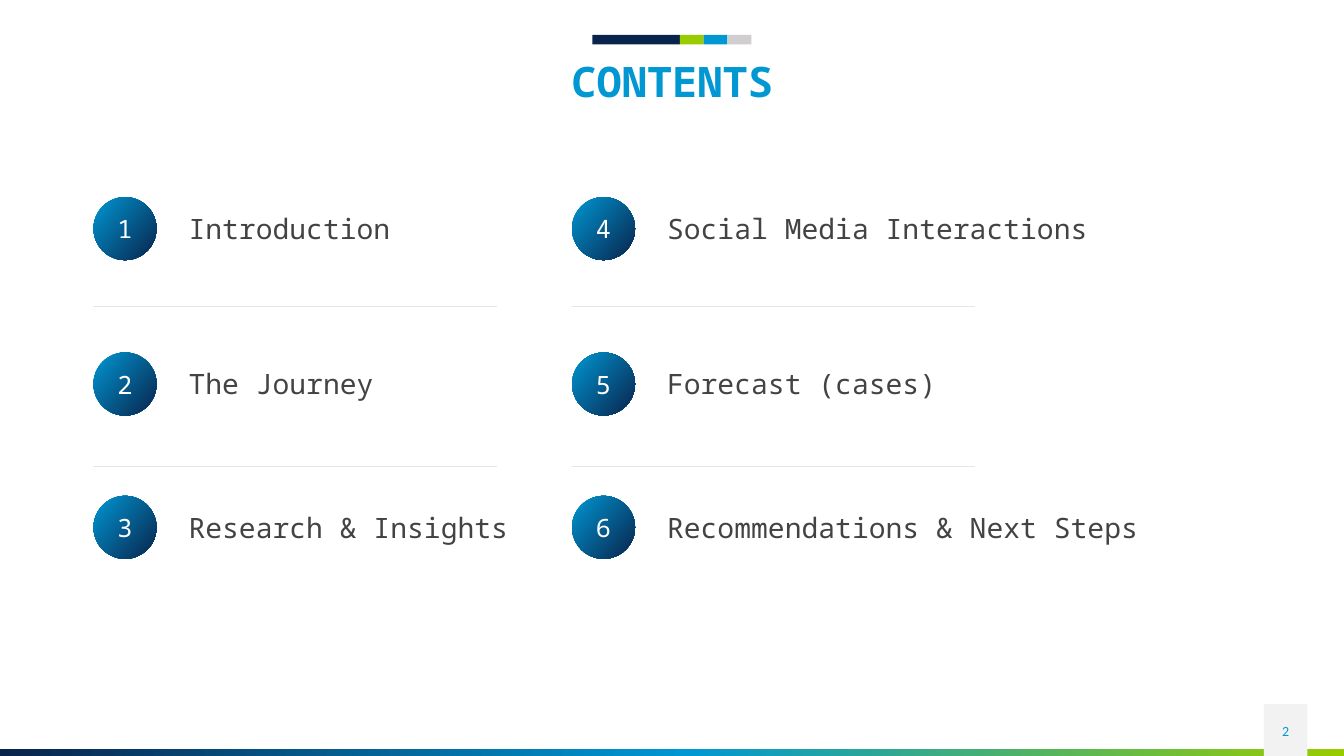
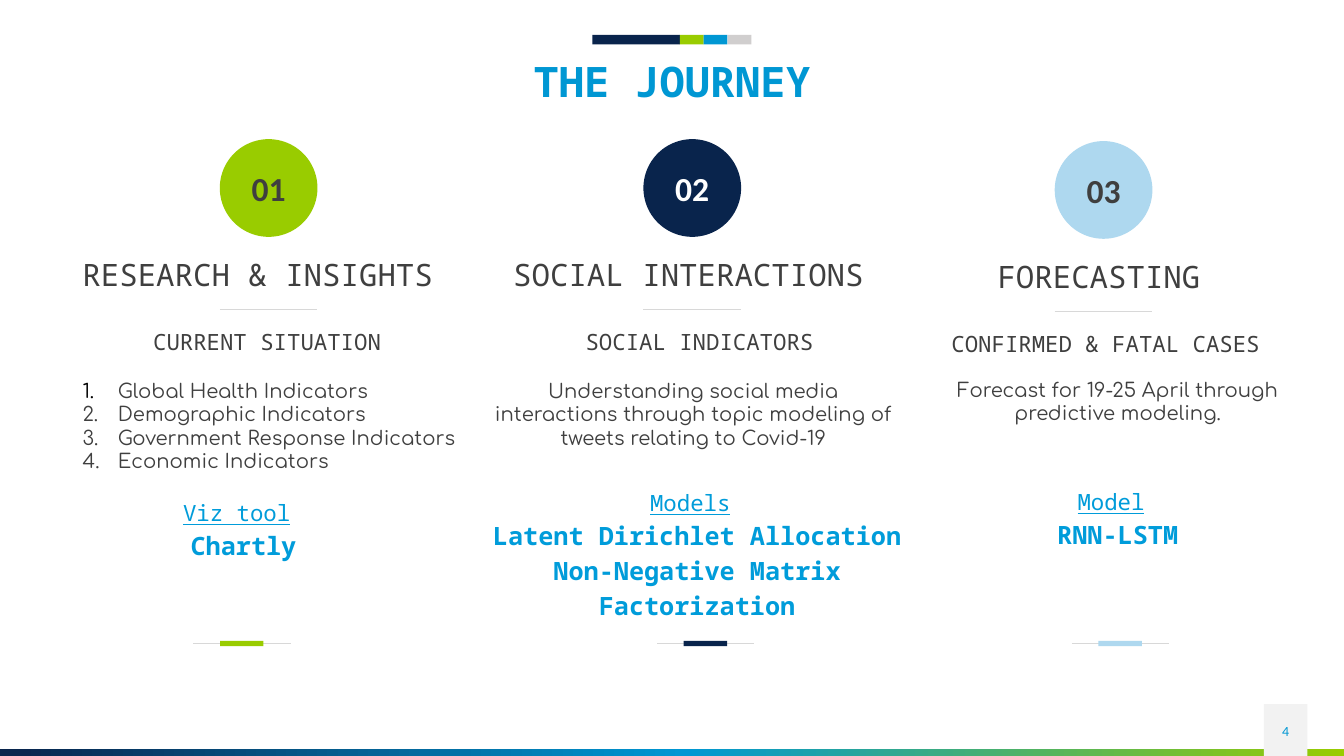
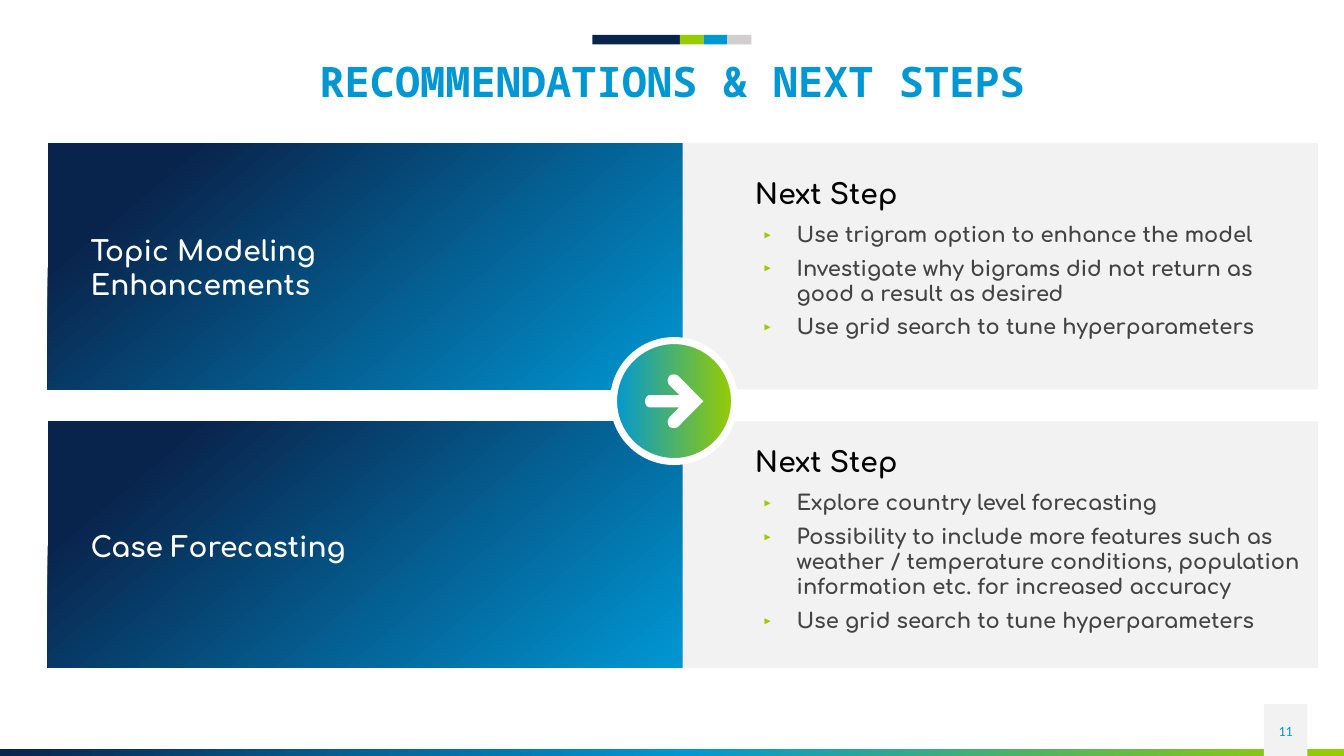
from dataclasses import dataclass, field

import pptx
import pptx.dml.color
import pptx.enum.shapes
import pptx.enum.text
import pptx.oxml
import pptx.oxml.ns
import pptx.util

Pt = pptx.util.Pt
SHAPE = pptx.enum.shapes.MSO_SHAPE
ALIGN = pptx.enum.text.PP_ALIGN
ANCHOR = pptx.enum.text.MSO_ANCHOR
qn = pptx.oxml.ns.qn

NAVY, BLUE, GREEN, SKY = "09244C", "0097D3", "99CC00", "AED8EF"
LINK, DARK, GREY = "009CDA", "3F3F3F", "434343"
PALE, SILVER, RULE, WHITE, BLACK = "F2F2F2", "D0CECE", "D8D8D8", "FFFFFF", "000000"
MONO, ROUND, PLAIN = "Noto Sans Mono", "Comfortaa", "Calibri"
TIGHT = (0, 0, 0, 2.9)
DEFAULT_INSET = (7.2, 3.6, 7.2, 3.6)


@dataclass
class Style:
    font: str
    size: float
    color: str
    bold: bool = False
    underline: bool = False


@dataclass
class Para:
    text: str
    style: Style
    tail: str = ""  # plain text after an underlined run
    bullet: str = ""  # a character, or "1." for automatic numbers
    bullet_color: str = BLACK
    fmt: dict = field(default_factory=dict)


@dataclass
class Box:
    x: float
    y: float
    w: float
    h: float


@dataclass
class Gradient:
    stops: list[tuple[int, str]]
    angle: float = 0


TITLE = Style(MONO, 30, BLUE, bold=True)
PAGE = Style(PLAIN, 10, BLUE)
CENTER = {"alignment": ALIGN.CENTER}


def rgb(color: str) -> pptx.dml.color.RGBColor:
    return pptx.dml.color.RGBColor.from_string(color)


def a_element(tag: str, **attrs):
    el = pptx.oxml.parse_xml(
        f'<a:{tag} xmlns:a="http://schemas.openxmlformats.org/drawingml/2006/main"/>')
    for k, v in attrs.items():
        el.set(k, str(v))
    return el


# Formatting
def paint(sp, fill: str | Gradient, line: str = "", width: float = 0) -> None:
    sp.shadow.inherit = False
    if isinstance(fill, Gradient):
        sp.fill.gradient()
        sp.fill.gradient_angle = (360 - fill.angle) % 360
        stops = sp._element.spPr.find(".//" + qn("a:gsLst"))
        for old in list(stops):
            stops.remove(old)
        for pos, color in fill.stops:
            gs = a_element("gs", pos=pos * 1000)
            gs.append(a_element("srgbClr", val=color))
            stops.append(gs)
    else:
        sp.fill.solid()
        sp.fill.fore_color.rgb = rgb(fill)
    if line:
        sp.line.color.rgb = rgb(line)
        sp.line.width = Pt(width)
    else:
        sp.line.fill.background()


def add_run(p, text: str, style: Style, underline: bool) -> None:
    r = p.add_run()
    r.text = text
    fmt = {"name": style.font, "size": Pt(style.size), "bold": style.bold,
           "underline": underline}
    for k, v in fmt.items():
        setattr(r.font, k, v)
    r.font.color.rgb = rgb(style.color)


def add_bullet(p, char: str, color: str) -> None:
    pPr = p._p.get_or_add_pPr()
    pPr.set("marL", str(Pt(36)))
    pPr.set("indent", str(-Pt(25.2)))
    buClr = a_element("buClr")
    buClr.append(a_element("srgbClr", val=color))
    pPr.append(buClr)
    if char == "1.":
        pPr.append(a_element("buAutoNum", type="arabicPeriod"))
    else:
        pPr.append(a_element("buFont", typeface=MONO))
        pPr.append(a_element("buChar", char=char))


def write(sp, paras: list[Para], inset=(0, 0, 0, 0), anchor=ANCHOR.MIDDLE) -> None:
    tf = sp.text_frame
    left, top, right, bottom = (Pt(v) for v in inset)
    fmt = {"word_wrap": True, "auto_size": pptx.enum.text.MSO_AUTO_SIZE.NONE,
           "vertical_anchor": anchor, "margin_left": left, "margin_top": top,
           "margin_right": right, "margin_bottom": bottom}
    for k, v in fmt.items():
        setattr(tf, k, v)
    for i, para in enumerate(paras):
        p = tf.add_paragraph() if i else tf.paragraphs[0]
        for k, v in para.fmt.items():
            setattr(p, k, v)
        if para.bullet:
            add_bullet(p, para.bullet, para.bullet_color)
        add_run(p, para.text, para.style, para.style.underline)
        if para.tail:
            add_run(p, para.tail, para.style, False)


# Drawing
def shape(s, kind, box: Box, fill: str | Gradient, line: str = "", width: float = 0):
    sp = s.shapes.add_shape(kind, Pt(box.x), Pt(box.y), Pt(box.w), Pt(box.h))
    paint(sp, fill, line, width)
    return sp


def text(s, box: Box, paras: list[Para], inset=TIGHT, anchor=ANCHOR.TOP) -> None:
    sp = s.shapes.add_textbox(Pt(box.x), Pt(box.y), Pt(box.w), Pt(box.h))
    write(sp, paras, inset, anchor)


def rule(s, x: float, y: float, w: float, color: str) -> None:
    ln = s.shapes.add_connector(pptx.enum.shapes.MSO_CONNECTOR.STRAIGHT,
                                Pt(x), Pt(y), Pt(x + w), Pt(y))
    ln.line.color.rgb = rgb(color)
    ln.line.width = Pt(0.75)
    ln._element.spPr.append(a_element("effectLst"))


def new_slide(prs, title: str, page: int):
    s = prs.slides.add_slide(prs.slide_layouts[5])
    sp = s.shapes.title
    for k, v in {"left": 26.6, "top": 40.3, "width": 907.2, "height": 39.6}.items():
        setattr(sp, k, Pt(v))
    write(sp, [Para(title, TITLE, fmt={**CENTER, "line_spacing": 0.9})])
    # Footer band and page number
    shape(s, SHAPE.RECTANGLE, Box(0, 535, 960, 5),
          Gradient([(0, NAVY), (51, BLUE), (100, GREEN)]))
    shape(s, SHAPE.RECTANGLE, Box(902.9, 502.9, 31, 37.1), PALE)
    text(s, Box(902.9, 507.8, 31, 28.8), [Para(str(page), PAGE, fmt=CENTER)],
         DEFAULT_INSET, ANCHOR.MIDDLE)
    # Four-colour strip above the title
    x = 423.2
    for color, w in ((NAVY, 62.5), (GREEN, 17), (BLUE, 17), (SILVER, 17)):
        shape(s, SHAPE.RECTANGLE, Box(x, 25, w, 6.8), color)
        x += w
    return s


# Contents slide
def contents(prs) -> None:
    s = new_slide(prs, "CONTENTS", 2)
    number, topic = Style(MONO, 18, WHITE), Style(MONO, 20, GREY)
    fill = Gradient([(0, BLUE), (100, NAVY)], 40)
    columns = (
        (66.8, 326, ("Introduction", "The Journey", "Research & Insights")),
        (408.6, 425, ("Social Media Interactions", "Forecast (cases)",
                      "Recommendations & Next Steps")),
    )
    n = 0
    for x, w, topics in columns:
        for y, name in zip((140.8, 251.8, 354.2), topics):
            n += 1
            sp = shape(s, SHAPE.OVAL, Box(x, y, 45, 45), fill)
            write(sp, [Para(str(n), number, fmt=CENTER)])
            text(s, Box(x + 60.8, y + 6.6, w, 31.7), [Para(name, topic)], DEFAULT_INSET)
        for y in (218.9, 333.2):
            rule(s, x, y, 288, "E7E6E6")


# Journey slide
@dataclass
class Stage:
    number: str
    color: str
    number_color: str
    circle_x: float
    drop: float  # extra depth of the upper part
    heading: str
    heading_mid: float
    subheading: str
    sub_mid: float
    body: list[str]
    body_box: Box
    tool_label: str
    tool: str
    tool_box: Box
    marker_x: float


STAGES = [
    Stage("01", GREEN, DARK, 157, 0, "RESEARCH & INSIGHTS", 184.1,
          "CURRENT SITUATION", 190.8,
          ["Global Health Indicators", "Demographic Indicators",
           "Government Response Indicators", "Economic Indicators"],
          Box(48.2, 270.5, 281.5, 85.7),
          "Viz tool", "Chartly", Box(16.6, 346.3, 314.6, 85.7), 138.2),
    Stage("02", NAVY, WHITE, 459.6, 0, "SOCIAL INTERACTIONS", 491.8,
          "SOCIAL INDICATORS", 499.7,
          ["Understanding social media interactions through topic modeling "
           "of tweets relating to Covid-19"],
          Box(350.6, 270.5, 289.4, 85.7),
          "Models", "Latent Dirichlet Allocation Non-Negative Matrix Factorization",
          Box(340.6, 339.5, 314.6, 100.8), 469.4),
    Stage("03", SKY, DARK, 753.4, 1.4, "FORECASTING", 785,
          "CONFIRMED & FATAL CASES", 789.8,
          ["Forecast for 19-25 April through predictive modeling."],
          Box(671, 269.8, 254.9, 69.8),
          "Model", "RNN-LSTM", Box(641.1, 338.6, 314.6, 85.7), 765.6),
]


def journey(prs) -> None:
    s = new_slide(prs, "THE JOURNEY", 4)
    heading, sub = Style(MONO, 22, DARK), Style(MONO, 16, DARK)
    body = Style(ROUND, 14, DARK)
    label = Style(MONO, 16, LINK, underline=True)
    tool = Style(MONO, 18, LINK, bold=True)
    spaced = {**CENTER, "line_spacing": 1.15}
    for st in STAGES:
        sp = shape(s, SHAPE.OVAL, Box(st.circle_x, 99.4 + st.drop, 69.8, 69.8), st.color)
        write(sp, [Para(st.number, Style(PLAIN, 24, st.number_color, True), fmt=CENTER)])
        text(s, Box(st.heading_mid - 134.5, 182.9 + st.drop, 269, 24.5),
             [Para(st.heading, heading, fmt=CENTER)])
        rule(s, st.circle_x, 221 + st.drop, 69.5, RULE)
        text(s, Box(st.sub_mid - 127.5, 234.7 + st.drop, 255, 22.3),
             [Para(st.subheading, sub, fmt=CENTER)])
        if len(st.body) > 1:
            paras = [Para(t, body, bullet="1.", bullet_color=DARK if i else BLACK)
                     for i, t in enumerate(st.body)]
        else:
            paras = [Para(st.body[0], body, fmt=CENTER)]
        text(s, st.body_box, paras)
        text(s, st.tool_box, [Para(st.tool_label, label, tail=" ", fmt=spaced),
                              Para(st.tool, tool, fmt=spaced)], (7.2,) * 4)
        # Closing marker
        rule(s, st.marker_x, 459.6, 69.5, RULE)
        shape(s, SHAPE.RECTANGLE, Box(st.marker_x + 19, 457.8, 31, 3.7), st.color)


# Recommendations slide
@dataclass
class Panel:
    y: float
    topic: list[str]
    step_y: float
    steps: list[str]


PANELS = [
    Panel(102.2, ["Topic Modeling", "Enhancements"], 125.8,
          ["Use trigram option to enhance the model",
           "Investigate why bigrams did not return as good a result as desired",
           "Use grid search to tune hyperparameters"]),
    Panel(301, ["Case Forecasting"], 317.5,
          ["Explore country level forecasting",
           "Possibility to include more features such as weather / temperature "
           "conditions, population information etc. for increased accuracy",
           "Use grid search to tune hyperparameters"]),
]


def curve(p0, p1, p2, p3, n: int = 8) -> list[tuple[float, float]]:
    """Points along a cubic curve."""
    def at(t: float, i: int) -> float:
        u = 1 - t
        return u**3 * p0[i] + 3 * u * u * t * p1[i] + 3 * u * t * t * p2[i] + t**3 * p3[i]
    return [(at(k / n, 0), at(k / n, 1)) for k in range(n + 1)]


def arrow(s) -> None:
    mid = 286.6
    upper = [(502.4, mid)]
    upper += curve((484.6, 268.6), (483.1, 267.1), (479.5, 267.1), (478.1, 268.6))
    upper += curve((478.1, 268.6), (476.6, 270.7), (476.6, 272.9), (478.1, 275))
    upper += [(485.3, 282.2)]
    upper += curve((464.4, 282.2), (462.2, 282.2), (460.8, 284.4), (460.8, mid))
    lower = [(x, 2 * mid - y) for x, y in reversed(upper)]
    points = [(Pt(x), Pt(y)) for x, y in upper + lower]
    fb = s.shapes.build_freeform(*points[0], scale=1.0)
    fb.add_line_segments(points[1:], close=True)
    paint(fb.convert_to_shape(), WHITE)


def recommendations(prs) -> None:
    s = new_slide(prs, "RECOMMENDATIONS & NEXT STEPS", 11)
    topic, head = Style(ROUND, 20, WHITE, True), Style(ROUND, 20, BLACK, True)
    step = Style(ROUND, 15, GREY, True)
    fill = Gradient([(0, NAVY), (16, NAVY), (100, BLUE)], 50)
    for pn in PANELS:
        for x, color in ((34, fill), (487.7, PALE)):
            shape(s, SHAPE.RECTANGLE, Box(x, pn.y, 453.7, 176), color)
        text(s, Box(64.8, pn.y + 57.2, 372, 66.2), [Para(t, topic) for t in pn.topic],
             anchor=ANCHOR.MIDDLE)
        text(s, Box(539.3, pn.step_y, 372, 27.4), [Para("Next Step", head)])
        text(s, Box(533.1, pn.step_y + 32.4, 401.8, 115.2),
             [Para(t, step, bullet="▸", bullet_color=GREEN, fmt={"space_before": Pt(6)})
              for t in pn.steps])
    # Arrow badge between the panels
    shape(s, SHAPE.OVAL, Box(438.3, 243.3, 86.4, 86.4),
          Gradient([(0, BLUE), (100, GREEN)]), WHITE, 5)
    arrow(s)


def main() -> None:
    prs = pptx.Presentation()
    prs.slide_width, prs.slide_height = Pt(960), Pt(540)
    contents(prs)
    journey(prs)
    recommendations(prs)
    prs.save("out.pptx")


if __name__ == "__main__":
    main()
